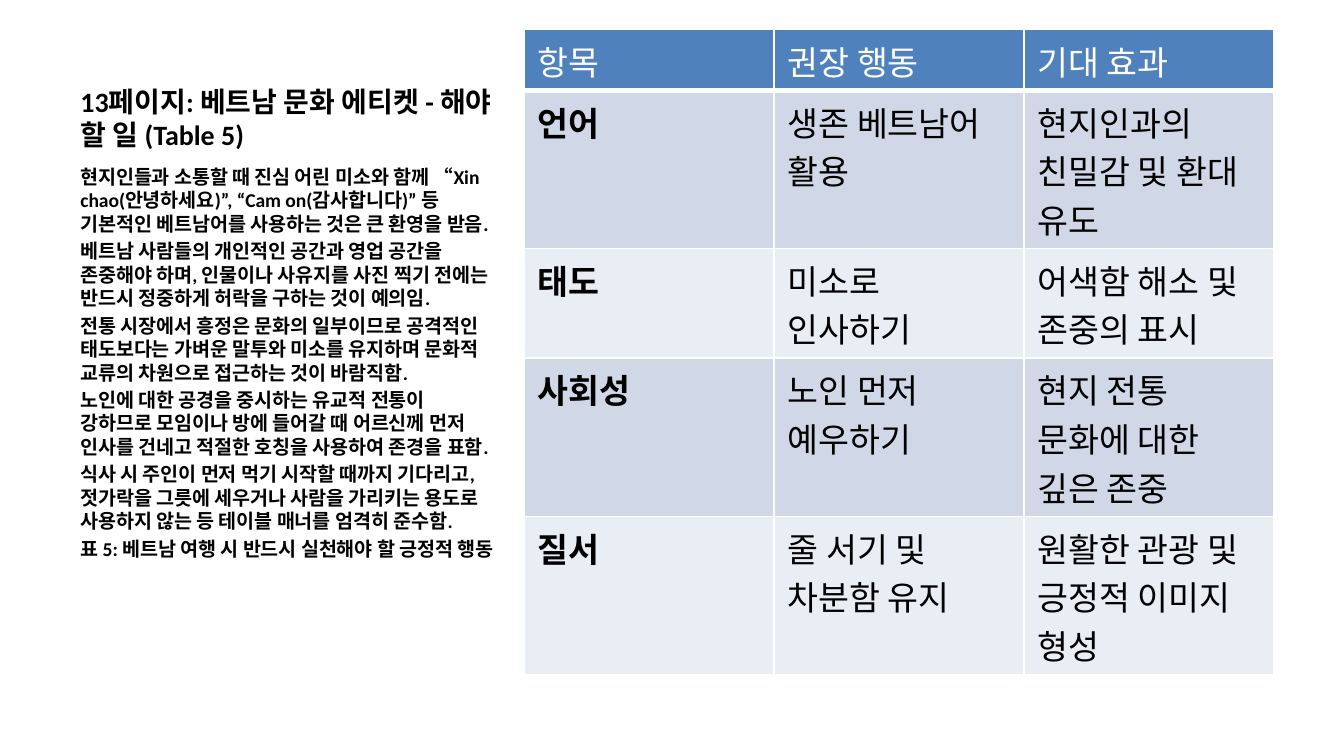
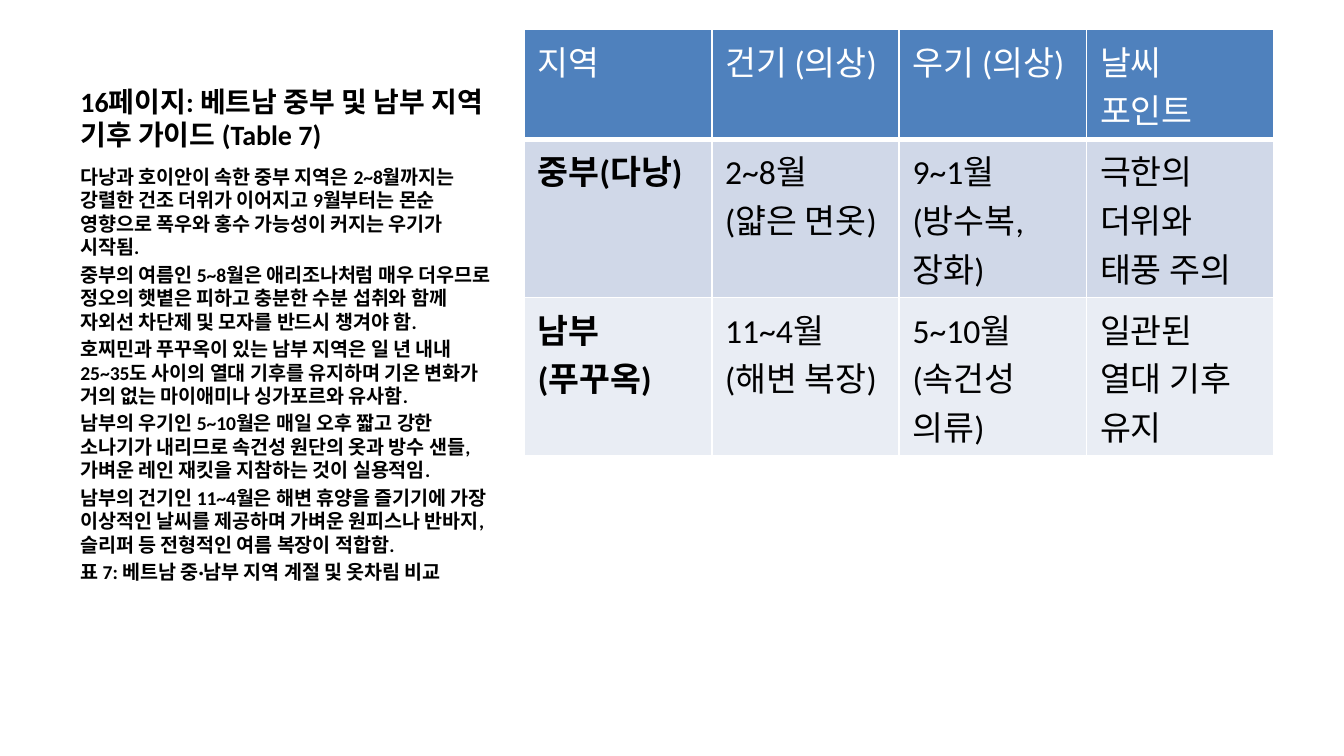
from dataclasses import dataclass
from typing import Any

import pptx
import pptx.dml.color
import pptx.enum.text
import pptx.oxml
import pptx.oxml.ns
import pptx.util
from pptx.util import Cm


@dataclass(frozen=True)
class Theme:
    font: str = "Calibri"
    text: str = "000000"
    white: str = "FFFFFF"
    header: str = "4F81BD"
    bands: tuple[str, str] = ("D0D8E8", "E9EDF4")
    title_size: float = 15
    body_size: float = 10.5
    table_size: float = 18
    thin: float = 1
    thick: float = 3


@dataclass(frozen=True)
class Box:
    left: float
    top: float
    width: float
    height: float

    def lengths(self) -> tuple[Cm, ...]:
        return tuple(Cm(value) for value in (self.left, self.top, self.width, self.height))


@dataclass(frozen=True)
class TableRow:
    lines: int  # text lines in the tallest cell
    cells: tuple[str, ...]


@dataclass(frozen=True)
class GuidePage:
    title: str
    paragraphs: tuple[str, ...]
    rows: tuple[TableRow, ...]


THEME = Theme()
TITLE_BOX = Box(1.27, 0.56, 8.36, 2.43)
BODY_BOX = Box(1.27, 2.99, 8.36, 9.78)
TABLE_LEFT, TABLE_TOP, TABLE_WIDTH = 9.91, 0.56, 14.17
LINE_HEIGHT, CELL_PADDING = 0.92, 0.23

PAGES = (
    GuidePage(
        "13페이지: 베트남 문화 에티켓 - 해야 할 일 (Table 5)",
        (
            "현지인들과 소통할 때 진심 어린 미소와 함께 “Xin chao(안녕하세요)”, “Cam on(감사합니다)” 등 "
            "기본적인 베트남어를 사용하는 것은 큰 환영을 받음.",
            "베트남 사람들의 개인적인 공간과 영업 공간을 존중해야 하며, 인물이나 사유지를 사진 찍기 전에는 "
            "반드시 정중하게 허락을 구하는 것이 예의임.",
            "전통 시장에서 흥정은 문화의 일부이므로 공격적인 태도보다는 가벼운 말투와 미소를 유지하며 "
            "문화적 교류의 차원으로 접근하는 것이 바람직함.",
            "노인에 대한 공경을 중시하는 유교적 전통이 강하므로 모임이나 방에 들어갈 때 어르신께 먼저 "
            "인사를 건네고 적절한 호칭을 사용하여 존경을 표함.",
            "식사 시 주인이 먼저 먹기 시작할 때까지 기다리고, 젓가락을 그릇에 세우거나 사람을 가리키는 "
            "용도로 사용하지 않는 등 테이블 매너를 엄격히 준수함.",
            "표 5: 베트남 여행 시 반드시 실천해야 할 긍정적 행동",
        ),
        (
            TableRow(1, ("항목", "권장 행동", "기대 효과")),
            TableRow(3, ("언어", "생존 베트남어 활용", "현지인과의 친밀감 및 환대 유도")),
            TableRow(2, ("태도", "미소로 인사하기", "어색함 해소 및 존중의 표시")),
            TableRow(3, ("사회성", "노인 먼저 예우하기", "현지 전통 문화에 대한 깊은 존중")),
            TableRow(3, ("질서", "줄 서기 및 차분함 유지", "원활한 관광 및 긍정적 이미지 형성")),
        ),
    ),
    GuidePage(
        "16페이지: 베트남 중부 및 남부 지역 기후 가이드 (Table 7)",
        (
            "다낭과 호이안이 속한 중부 지역은 2~8월까지는 강렬한 건조 더위가 이어지고 9월부터는 몬순 "
            "영향으로 폭우와 홍수 가능성이 커지는 우기가 시작됨.",
            "중부의 여름인 5~8월은 애리조나처럼 매우 더우므로 정오의 햇볕은 피하고 충분한 수분 섭취와 "
            "함께 자외선 차단제 및 모자를 반드시 챙겨야 함.",
            "호찌민과 푸꾸옥이 있는 남부 지역은 일 년 내내 25~35도 사이의 열대 기후를 유지하며 기온 "
            "변화가 거의 없는 마이애미나 싱가포르와 유사함.",
            "남부의 우기인 5~10월은 매일 오후 짧고 강한 소나기가 내리므로 속건성 원단의 옷과 방수 샌들, "
            "가벼운 레인 재킷을 지참하는 것이 실용적임.",
            "남부의 건기인 11~4월은 해변 휴양을 즐기기에 가장 이상적인 날씨를 제공하며 가벼운 원피스나 "
            "반바지, 슬리퍼 등 전형적인 여름 복장이 적합함.",
            "표 7: 베트남 중·남부 지역 계절 및 옷차림 비교",
        ),
        (
            TableRow(2, ("지역", "건기 (의상)", "우기 (의상)", "날씨 포인트")),
            TableRow(3, ("중부(다낭)", "2~8월 (얇은 면옷)", "9~1월 (방수복, 장화)", "극한의 더위와 태풍 주의")),
            TableRow(3, ("남부(푸꾸옥)", "11~4월 (해변 복장)", "5~10월 (속건성 의류)", "일관된 열대 기후 유지")),
        ),
    ),
)


def rgb(color: str) -> pptx.dml.color.RGBColor:
    return pptx.dml.color.RGBColor.from_string(color)


def write(paragraph: Any, text: str, size: float, color: str, bold: bool) -> None:
    run = paragraph.add_run()
    run.text = text
    formats = {"name": THEME.font, "size": pptx.util.Pt(size), "bold": bold}
    for name, value in formats.items():
        setattr(run.font, name, value)
    run.font.color.rgb = rgb(color)


def add_text(slide: Any, box: Box, texts: tuple[str, ...], size: float,
             anchor: pptx.enum.text.MSO_ANCHOR) -> None:
    frame = slide.shapes.add_textbox(*box.lengths()).text_frame
    frame.word_wrap = True
    frame.vertical_anchor = anchor
    for index, text in enumerate(texts):
        paragraph = frame.add_paragraph() if index else frame.paragraphs[0]
        if index:
            paragraph.space_before = pptx.util.Pt(size * 0.2)
        write(paragraph, text, size, THEME.text, True)


def add_borders(cell: Any, is_header: bool) -> None:
    properties = cell._tc.get_or_add_tcPr()
    for side in "LRTB":
        points = THEME.thick if is_header and side == "B" else THEME.thin
        properties.append(pptx.oxml.parse_xml(
            f'<a:ln{side} {pptx.oxml.ns.nsdecls("a")} w="{pptx.util.Pt(points)}"><a:solidFill>'
            f'<a:srgbClr val="{THEME.white}"/></a:solidFill></a:ln{side}>'))


def add_table(slide: Any, rows: tuple[TableRow, ...]) -> None:
    column_count = len(rows[0].cells)
    heights = [row.lines * LINE_HEIGHT + CELL_PADDING for row in rows]
    box = Box(TABLE_LEFT, TABLE_TOP, TABLE_WIDTH, sum(heights))
    table = slide.shapes.add_table(len(rows), column_count, *box.lengths()).table
    for column in table.columns:
        column.width = Cm(TABLE_WIDTH / column_count)
    for row_index, row in enumerate(rows):
        table.rows[row_index].height = Cm(heights[row_index])
        is_header = row_index == 0
        fill = THEME.header if is_header else THEME.bands[(row_index - 1) % 2]
        color = THEME.white if is_header else THEME.text
        for column_index, text in enumerate(row.cells):
            cell = table.cell(row_index, column_index)
            add_borders(cell, is_header)
            cell.fill.solid()
            cell.fill.fore_color.rgb = rgb(fill)
            bold = not is_header and column_index == 0
            write(cell.text_frame.paragraphs[0], text, THEME.table_size, color, bold)


def add_page(presentation: Any, page: GuidePage) -> None:
    slide = presentation.slides.add_slide(presentation.slide_layouts[6])
    anchors = pptx.enum.text.MSO_ANCHOR
    add_text(slide, TITLE_BOX, (page.title,), THEME.title_size, anchors.BOTTOM)
    add_text(slide, BODY_BOX, page.paragraphs, THEME.body_size, anchors.TOP)
    add_table(slide, page.rows)


def main() -> None:
    presentation = pptx.Presentation()
    presentation.slide_width, presentation.slide_height = Cm(25.4), Cm(14.29)
    for page in PAGES:
        add_page(presentation, page)
    presentation.save("out.pptx")


if __name__ == "__main__":
    main()
